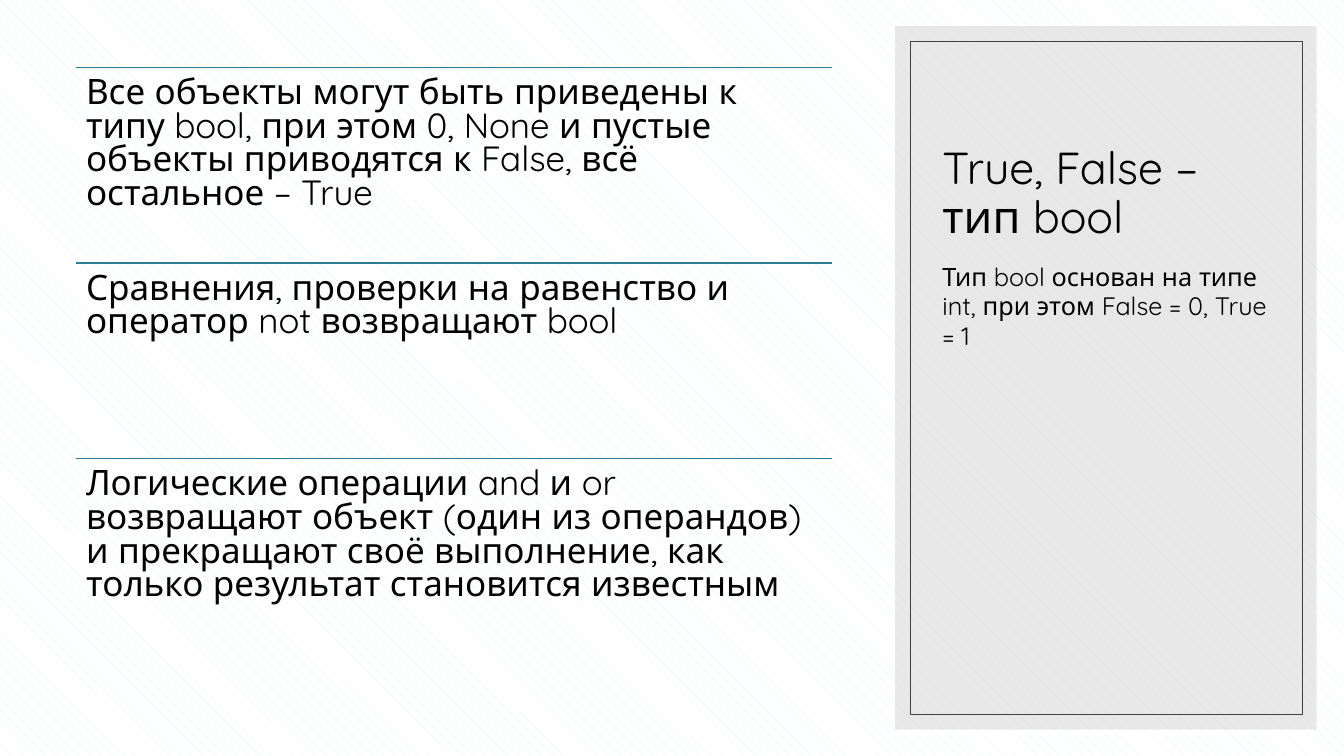
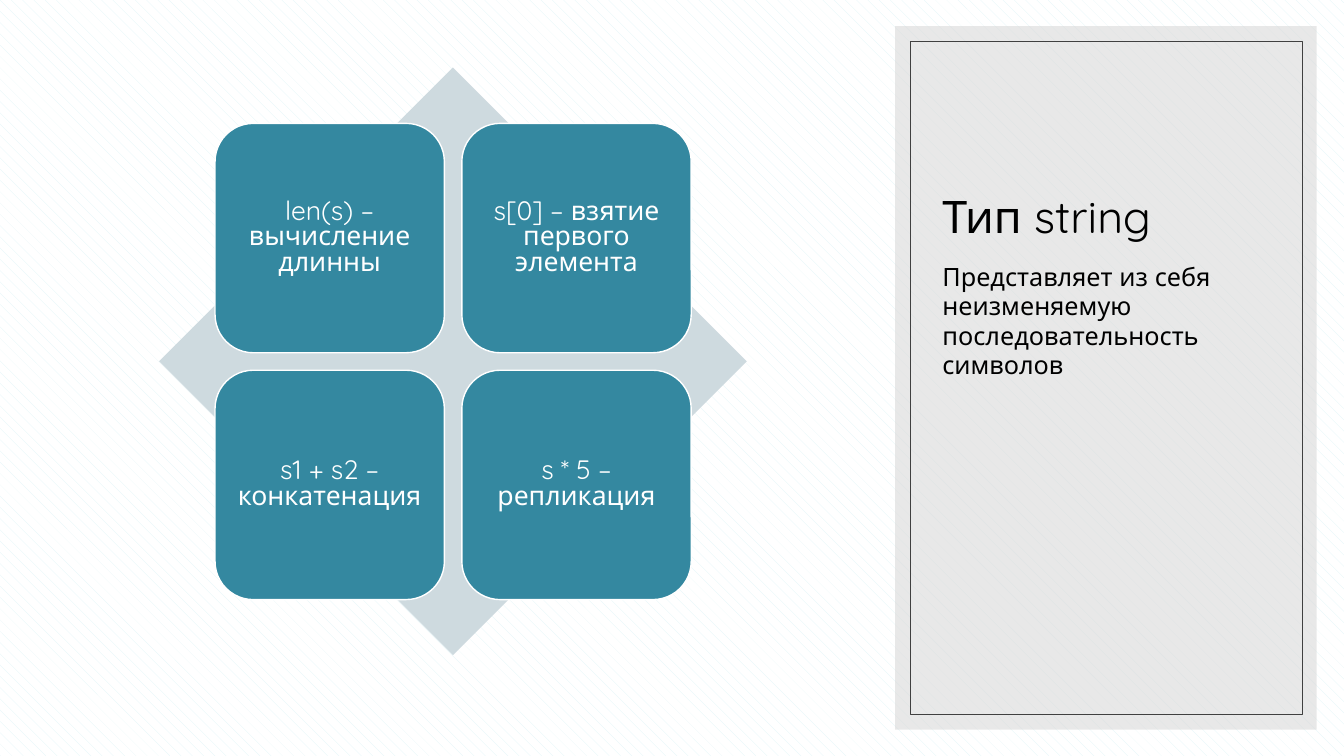
"""Build two slides on the bool and string types."""
from itertools import product

from lxml.etree import SubElement as Sub
from pptx import Presentation as Deck
from pptx.dml.color import RGBColor as Rgb
from pptx.enum.dml import MSO_PATTERN as Pat
from pptx.enum.shapes import MSO_CONNECTOR as Link, MSO_SHAPE as Form
from pptx.enum.text import MSO_ANCHOR as Anchor, PP_ALIGN as Align
from pptx.oxml.ns import qn
from pptx.util import Cm, Pt

HUES = {
    "ink": "000000", "white": "FFFFFF", "mist": "DEF4F7", "panel": "D9D9D9",
    "frame": "404040", "rule": "2F7B91", "tile": "3488A0", "gem": "CEDADF",
}
FONT = "Quicksand"


def hue(name):
    return Rgb.from_string(HUES[name])


def write(shape, text, size=18, ink="ink", lead=1.0, align=Align.LEFT,
          anchor=Anchor.TOP, pad=(0.25, 0.13)):
    frame = shape.text_frame
    frame.word_wrap = True
    frame.vertical_anchor = anchor
    frame.margin_left = frame.margin_right = Cm(pad[0])
    frame.margin_top = frame.margin_bottom = Cm(pad[1])
    para = frame.paragraphs[0]
    para.alignment = align
    para.line_spacing = lead
    run = para.add_run()
    run.text = text
    run.font.name = FONT
    run.font.size = Pt(size)
    run.font.color.rgb = hue(ink)


class Pen:
    def __init__(self):
        self.deck = Deck()
        self.deck.slide_width = Cm(33.87)
        self.deck.slide_height = Cm(19.05)
        self.slide = None

    def page(self, title, body):
        self.slide = self.deck.slides.add_slide(self.deck.slide_layouts[6])
        back = self.slide.background.fill
        back.patterned()
        back.pattern = Pat.SHINGLE
        back.fore_color.rgb = hue("mist")
        back.back_color.rgb = hue("white")
        self.form(Form.RECTANGLE, 22.56, 0.66, 10.62, 17.73, fill="panel", alpha=60)
        self.form(Form.RECTANGLE, 22.94, 1.04, 9.88, 16.97, line="frame", weight=0.5)
        self.text(title, 23.5, 1.68, 8.79, 4.57, size=32, lead=0.9, anchor=Anchor.BOTTOM)
        self.text(body, 23.5, 6.5, 8.79, 10, size=18, lead=0.97)

    def form(self, kind, x, y, w, h, fill=None, line=None, weight=1, alpha=None):
        shape = self.slide.shapes.add_shape(kind, Cm(x), Cm(y), Cm(w), Cm(h))
        shape.shadow.inherit = False
        if fill:
            shape.fill.solid()
            shape.fill.fore_color.rgb = hue(fill)
        else:
            shape.fill.background()
        if alpha:
            tint = shape.fill._xPr.find(".//" + qn("a:srgbClr"))
            Sub(tint, qn("a:alpha"), val=str(alpha * 1000))
        if line:
            shape.line.color.rgb = hue(line)
            shape.line.width = Pt(weight)
        else:
            shape.line.fill.background()
        return shape

    def text(self, text, x, y, w, h, **style):
        box = self.slide.shapes.add_textbox(Cm(x), Cm(y), Cm(w), Cm(h))
        write(box, text, **style)

    def rule(self, x, y, w):
        line = self.slide.shapes.add_connector(Link.STRAIGHT, Cm(x), Cm(y), Cm(x + w), Cm(y))
        line.line.color.rgb = hue("rule")
        line.line.width = Pt(1)
        Sub(line._element.spPr, qn("a:effectLst"))


def bool_page(pen):
    pen.page("True, False – тип bool",
             "Тип bool основан на типе int, при этом False = 0, True = 1")
    facts = [
        "Все объекты могут быть приведены к типу bool, при этом 0, None "
        "и пустые объекты приводятся к False, всё остальное – True",
        "Сравнения, проверки на равенство и оператор not возвращают bool",
        "Логические операции and и or возвращают объект (один из операндов) "
        "и прекращают своё выполнение, как только результат становится известным",
    ]
    left, top, wide, step = 1.91, 1.7, 19.05, 4.93
    for row, fact in enumerate(facts):
        y = top + row * step
        pen.rule(left, y, wide)
        pen.text(fact, left, y, wide, step, size=25, lead=0.8, pad=(0.26, 0.26))


def string_page(pen):
    pen.page("Тип string", "Представляет из себя неизменяемую последовательность символов")
    pen.form(Form.DIAMOND, 4.01, 1.7, 14.81, 14.81, fill="gem")
    tasks = ["len(s) – вычисление длинны", "s[0] – взятие первого элемента",
             "s1 + s2 – конкатенация", "s * 5 – репликация"]
    left, top, side, step = 5.42, 3.11, 5.78, 6.22
    for (row, col), task in zip(product(range(2), repeat=2), tasks):
        tile = pen.form(Form.ROUNDED_RECTANGLE, left + col * step, top + row * step,
                        side, side, fill="tile", line="white")
        write(tile, task, size=19, ink="white", lead=0.8, align=Align.CENTER,
              anchor=Anchor.MIDDLE, pad=(0.2, 0.2))


pen = Pen()
bool_page(pen)
string_page(pen)
pen.deck.save("out.pptx")
